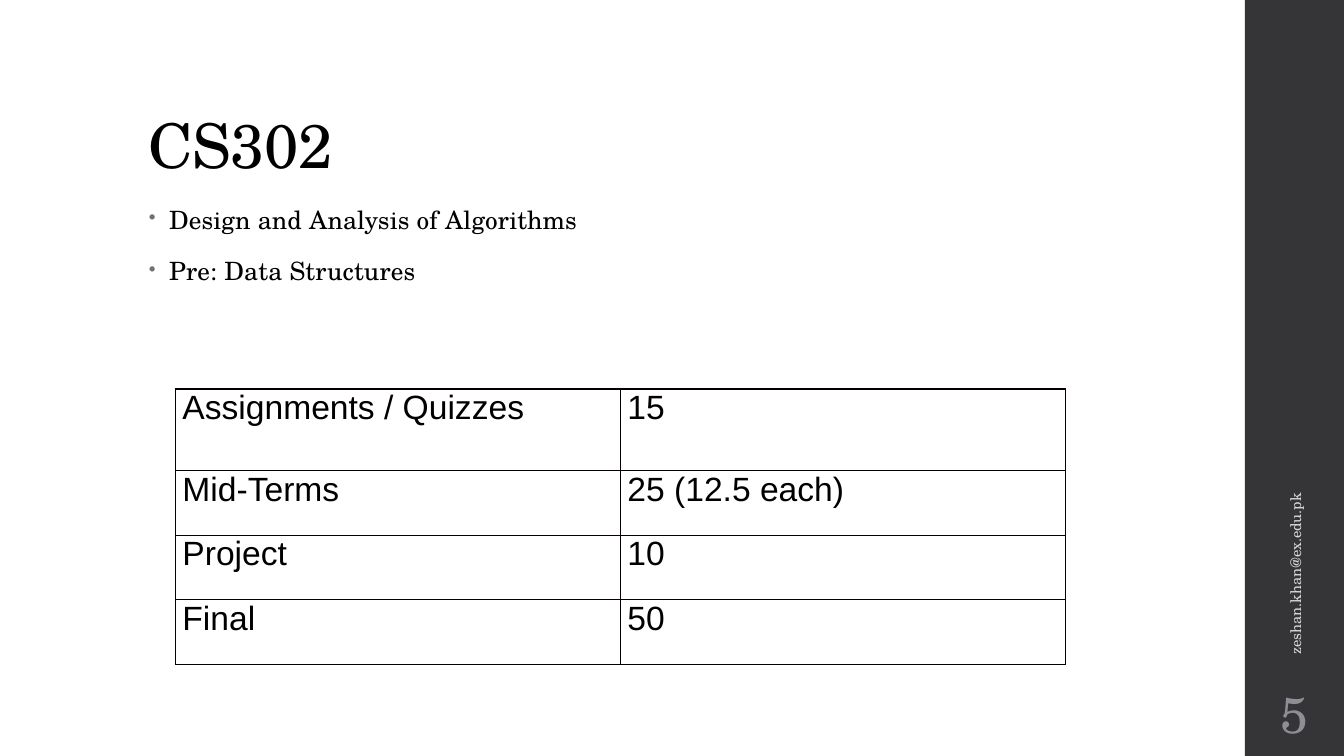
"""Build the CS302 course slide with its marking scheme."""
from dataclasses import dataclass

from lxml import etree
from pptx import Presentation
from pptx import util as u
from pptx.dml.color import RGBColor
from pptx.enum import shapes, text
from pptx.oxml.ns import qn


@dataclass(frozen=True)
class Theme:
    serif: str = "TeX Gyre Schola"
    sans: str = "Arial"
    ink: str = "000000"
    bar: str = "353537"
    bullet: str = "6F6F74"
    email: str = "D9D9DB"
    number: str = "8E8E94"
    border: str = "080000"
    title_size: float = 44
    number_size: float = 36
    table_size: float = 24
    body_size: float = 18
    email_size: float = 10.5


class Page:
    cell = u.Inches(0.1)
    columns, rows = 133.33, 75

    def __init__(self, deck, theme):
        self.theme = theme
        deck.slide_width = self.length(self.columns)
        deck.slide_height = self.length(self.rows)
        self.shapes = deck.slides.add_slide(deck.slide_layouts[6]).shapes

    def length(self, cells):
        return u.Emu(round(cells * self.cell))

    def place(self, *cells):
        return [self.length(value) for value in cells]

    def style(self, para, size, color, face, tracking=0):
        font = para.font
        font.size, font.name = u.Pt(size), face
        font.color.rgb = RGBColor.from_string(color)
        if tracking:
            font._element.set("spc", str(tracking))

    def bar(self, area):
        bar = self.shapes.add_shape(shapes.MSO_SHAPE.RECTANGLE, *self.place(*area))
        bar.shadow.inherit = False
        bar.fill.solid()
        bar.fill.fore_color.rgb = RGBColor.from_string(self.theme.bar)
        bar.line.fill.background()

    def label(self, area, lines, size, color, anchor=text.MSO_ANCHOR.MIDDLE,
              align=text.PP_ALIGN.LEFT, spacing=1.0, tracking=0, turn=0, bullets=False):
        box = self.shapes.add_textbox(*self.place(*area))
        box.rotation = turn
        frame = box.text_frame
        frame.word_wrap = True
        frame.vertical_anchor = anchor
        frame.text = "\n".join(lines)
        for para in frame.paragraphs:
            para.alignment, para.line_spacing = align, spacing
            if bullets:
                self.bullet(para)
            self.style(para, size, color, self.theme.serif, tracking)

    def bullet(self, para):
        para.space_before, para.space_after = u.Pt(14), u.Pt(2)
        props = para._p.get_or_add_pPr()
        indent = self.length(2)
        props.set("marL", str(indent))
        props.set("indent", str(-indent))
        color = etree.SubElement(props, qn("a:buClr"))
        etree.SubElement(color, qn("a:srgbClr"), val=self.theme.bullet)
        etree.SubElement(props, qn("a:buSzPct"), val="80000")
        etree.SubElement(props, qn("a:buChar"), char="•")

    def table(self, area, heights, records):
        table = self.shapes.add_table(len(records), len(records[0]), *self.place(*area)).table
        table.first_row = table.horz_banding = False
        for row, height, record in zip(table.rows, heights, records):
            row.height = self.length(height)
            for cell, value in zip(row.cells, record):
                cell.text = value
                cell.margin_left = cell.margin_right = self.length(0.7)
                cell.margin_top = cell.margin_bottom = 0
                self.style(cell.text_frame.paragraphs[0], self.theme.table_size,
                           self.theme.ink, self.theme.sans)
                self.borders(cell)
                cell.fill.background()

    def borders(self, cell):
        props = cell._tc.get_or_add_tcPr()
        for side in ("lnL", "lnR", "lnT", "lnB"):
            line = etree.SubElement(props, qn(f"a:{side}"), w=str(u.Pt(1)))
            fill = etree.SubElement(line, qn("a:solidFill"))
            etree.SubElement(fill, qn("a:srgbClr"), val=self.theme.border)


def main():
    deck, theme = Presentation(), Theme()
    page = Page(deck, theme)
    page.bar((123.5, 0, 9.83, page.rows))
    page.label((13.8, 4, 106, 14.5), ["CS302"], theme.title_size, theme.ink,
               anchor=text.MSO_ANCHOR.BOTTOM, spacing=0.9, tracking=-50)
    page.label((13.8, 20, 94, 47.6),
               ["Design and Analysis of Algorithms", "Pre: Data Structures"],
               theme.body_size, theme.ink, anchor=text.MSO_ANCHOR.TOP,
               spacing=0.95, tracking=10, bullets=True)
    page.label((108.9, 44.3, 39.2, 4), ["zeshan.khan@ex.edu.pk"],
               theme.email_size, theme.email, turn=270)
    page.label((123.5, 67.5, 9.83, 6.5), ["5"], theme.number_size, theme.number,
               align=text.PP_ALIGN.CENTER)
    page.table((17.4, 38.6, 88.3, 27.3), (8.1, 6.4, 6.4, 6.4), [
        ("Assignments / Quizzes", "15"),
        ("Mid-Terms", "25 (12.5 each)"),
        ("Project", "10"),
        ("Final", "50"),
    ])
    deck.save("out.pptx")


if __name__ == "__main__":
    main()
